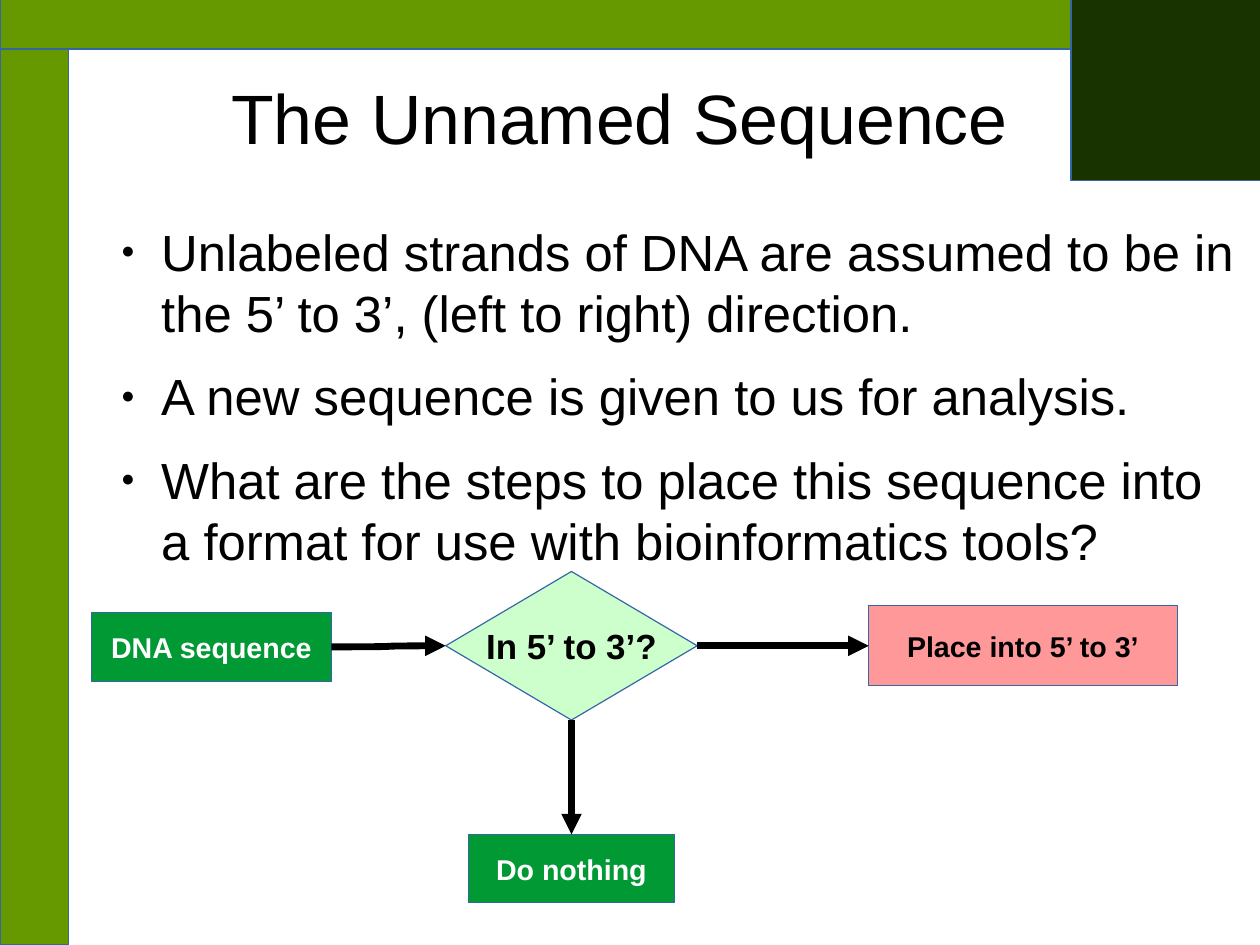
from lxml.etree import SubElement
from pptx import Presentation
from pptx.dml.color import RGBColor
from pptx.enum.shapes import MSO_CONNECTOR, MSO_SHAPE
from pptx.enum.text import MSO_ANCHOR, PP_ALIGN
from pptx.oxml.ns import qn
from pptx.util import Inches, Pt

BLACK, WHITE = "000000", "FFFFFF"
OLIVE, DARK_OLIVE, GREEN = "669900", "193300", "009933"
LIGHT_GREEN, PINK, OUTLINE = "CCFFCC", "FF9999", "3465A4"
PAGE_WIDTH, PAGE_HEIGHT = 28 / 2.54, 21 / 2.54

POINTS = [
    "Unlabeled strands of DNA are assumed to be in the 5’ to 3’, (left to right) direction.",
    "A new sequence is given to us for analysis.",
    "What are the steps to place this sequence into a format for use with bioinformatics tools?",
]


def color(value):
    return RGBColor.from_string(value)


class SlideBuilder:
    font_name = "Arial"

    def __init__(self, page):
        self.page = page

    def style(self, para, size, text_color, bold=False):
        for span in para.runs:
            span.font.name = self.font_name
            span.font.size = Pt(size)
            span.font.bold = bold
            span.font.color.rgb = color(text_color)

    def margins(self, frame, side, edge):
        frame.margin_left = frame.margin_right = Inches(side)
        frame.margin_top = frame.margin_bottom = Inches(edge)

    def title(self, text, left, top, width, height):
        box = self.page.shapes.title
        box.left, box.top = Inches(left), Inches(top)
        box.width, box.height = Inches(width), Inches(height)
        frame = box.text_frame
        frame.text = text
        frame.vertical_anchor = MSO_ANCHOR.MIDDLE
        self.margins(frame, 0, 0)
        frame.paragraphs[0].alignment = PP_ALIGN.CENTER
        self.style(frame.paragraphs[0], 44, BLACK)

    def bullets(self, points, left, top, width, height):
        box = self.page.shapes.add_textbox(
            Inches(left), Inches(top), Inches(width), Inches(height))
        frame = box.text_frame
        frame.word_wrap = True
        self.margins(frame, 0, 0)
        frame.text = "\n".join(points)
        for index, para in enumerate(frame.paragraphs):
            para.space_before = Pt(14.2 if index else 0)
            properties = para._p.get_or_add_pPr()
            properties.set("marL", str(Inches(0.47)))
            properties.set("indent", str(Inches(-0.35)))
            bullet_color = SubElement(properties, qn("a:buClr"))
            SubElement(bullet_color, qn("a:srgbClr"), val=BLACK)
            SubElement(properties, qn("a:buSzPct"), val="45000")
            SubElement(properties, qn("a:buFont"), typeface=self.font_name)
            SubElement(properties, qn("a:buChar"), char="●")
            self.style(para, 32, BLACK)

    def shape(self, kind, left, top, width, height, fill):
        box = self.page.shapes.add_shape(
            kind, Inches(left), Inches(top), Inches(width), Inches(height))
        box.shadow.inherit = False
        box.fill.solid()
        box.fill.fore_color.rgb = color(fill)
        box.line.color.rgb = color(OUTLINE)
        box.line.width = Pt(0)
        return box

    def step(self, text, kind, left, top, width, height, fill, text_color, size=18):
        box = self.shape(kind, left, top, width, height, fill)
        frame = box.text_frame
        frame.word_wrap = False
        frame.vertical_anchor = MSO_ANCHOR.MIDDLE
        self.margins(frame, 0.1, 0.05)
        frame.text = text
        frame.paragraphs[0].alignment = PP_ALIGN.CENTER
        self.style(frame.paragraphs[0], size, text_color, bold=True)
        return box

    def arrow(self, source, source_site, target, target_site, kind=MSO_CONNECTOR.STRAIGHT):
        line = self.page.shapes.add_connector(kind, 0, 0, 0, 0)
        line.begin_connect(source, source_site)
        line.end_connect(target, target_site)
        line.line.color.rgb = color(BLACK)
        line.line.width = Pt(4.31)
        SubElement(line.line._get_or_add_ln(), qn("a:tailEnd"), type="triangle")
        SubElement(line._element.spPr, qn("a:effectLst"))


def main():
    deck = Presentation()
    deck.slide_width, deck.slide_height = Inches(PAGE_WIDTH), Inches(PAGE_HEIGHT)
    builder = SlideBuilder(deck.slides.add_slide(deck.slide_layouts[5]))

    builder.title("The Unnamed Sequence", 0.75, 0.33, 9.35, 1.38)
    builder.bullets(POINTS, 0.94, 1.93, 9.92, 4.79)

    rectangle = MSO_SHAPE.RECTANGLE
    builder.shape(rectangle, 0, 0, 0.6, PAGE_HEIGHT, OLIVE)
    builder.shape(rectangle, 0, -0.07, PAGE_WIDTH, 0.5, OLIVE)
    builder.shape(rectangle, 9.37, -0.4, 1.93, 1.98, DARK_OLIVE)

    decision = builder.step("In 5’ to 3’?", MSO_SHAPE.DIAMOND,
                            3.9, 5, 2.2, 1.3, LIGHT_GREEN, BLACK, size=22)
    start = builder.step("DNA sequence", rectangle, 0.8, 5.36, 2.1, 0.6, GREEN, WHITE)
    convert = builder.step("Place into 5’ to 3’", rectangle, 7.6, 5.3, 2.7, 0.7, PINK, BLACK)
    nothing = builder.step("Do nothing", rectangle, 4.1, 7.3, 1.8, 0.6, GREEN, WHITE)

    top, left, bottom, right = range(4)
    builder.arrow(start, right, decision, left, MSO_CONNECTOR.CURVE)
    builder.arrow(decision, right, convert, left)
    builder.arrow(decision, bottom, nothing, top)

    deck.save("out.pptx")


if __name__ == "__main__":
    main()
